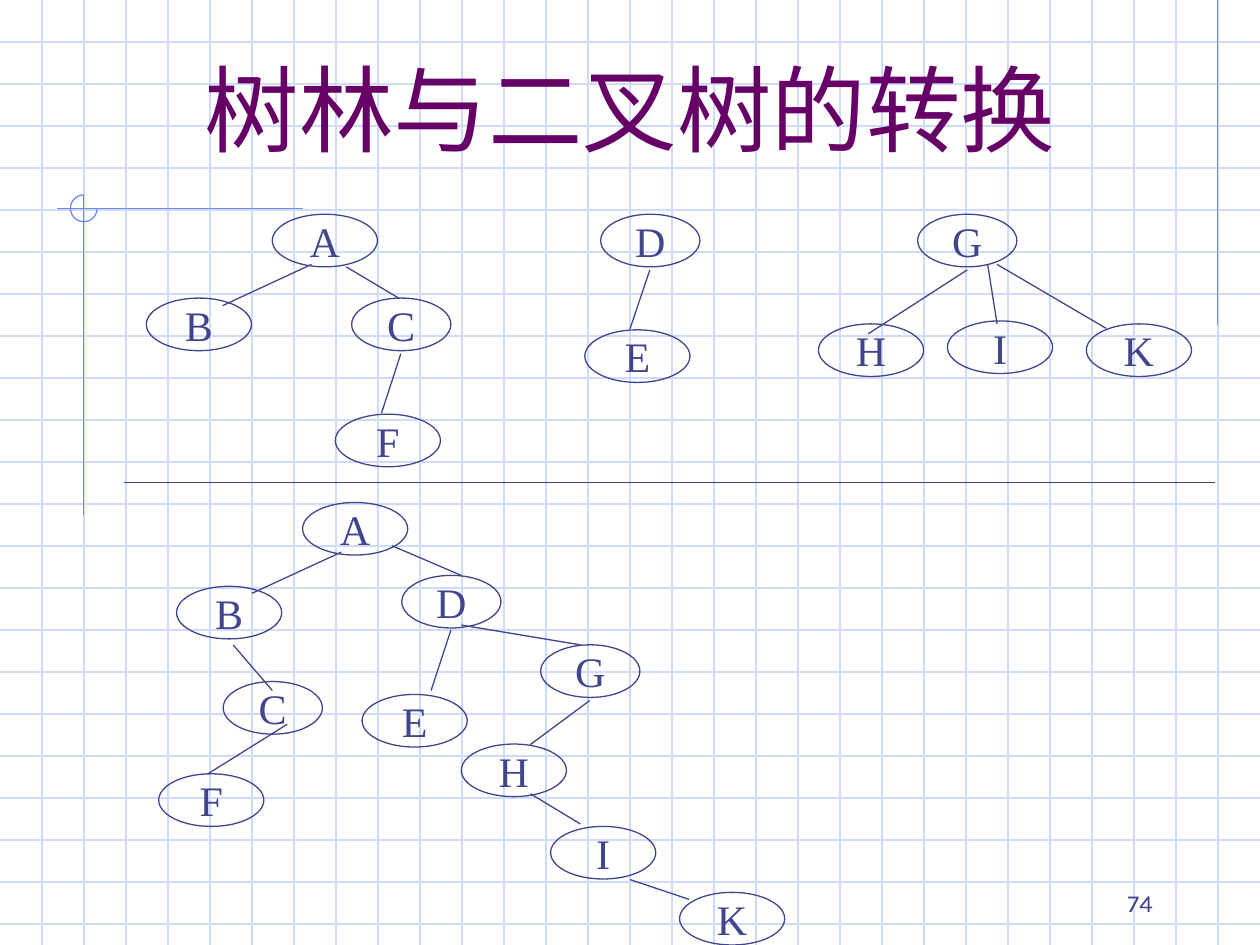
from lxml import etree
from pptx import Presentation
from pptx.dml.color import RGBColor
from pptx.enum.shapes import MSO_CONNECTOR, MSO_SHAPE
from pptx.enum.text import MSO_ANCHOR, PP_ALIGN
from pptx.oxml.ns import qn
from pptx.util import Cm, Pt

LINE = MSO_CONNECTOR.STRAIGHT
OVAL, ARC = MSO_SHAPE.OVAL, MSO_SHAPE.ARC
MIDDLE, BOTTOM = MSO_ANCHOR.MIDDLE, MSO_ANCHOR.BOTTOM
CENTER, RIGHT = PP_ALIGN.CENTER, PP_ALIGN.RIGHT
GRID, TRIM, INK, HEAD = "CFDBFD", "6F89F7", "40458C", "660066"
WIDTH, HEIGHT = 25.4, 19.05
STEP = WIDTH / 30
WIDE, SLIM, TALL = 2.12, 2.0, 1.06


def color(code):
    return RGBColor.from_string(code)


class Board:
    def __init__(self, deck):
        self.slide = deck.slides.add_slide(deck.slide_layouts[5])
        self.shapes = self.slide.shapes

    def line(self, x1, y1, x2, y2, code=INK):
        line = self.shapes.add_connector(LINE, Cm(x1), Cm(y1), Cm(x2), Cm(y2))
        line.line.color.rgb = color(code)
        line.line.width = Pt(0.75)
        props = line._element.find(qn("p:spPr"))
        etree.SubElement(props, qn("a:effectLst"))

    def shape(self, kind, x, y, w, h, code):
        shape = self.shapes.add_shape(kind, Cm(x), Cm(y), Cm(w), Cm(h))
        shape.shadow.inherit = False
        shape.fill.background()
        shape.line.color.rgb = color(code)
        shape.line.width = Pt(0.75)
        return shape

    def label(self, shape, text, font, size, code, align, anchor, wrap=True):
        frame = shape.text_frame
        frame.text = text
        frame.word_wrap = wrap
        frame.vertical_anchor = anchor
        para = frame.paragraphs[0]
        para.alignment = align
        run = para.runs[0]
        run.font.name = font
        run.font.size = Pt(size)
        run.font.color.rgb = color(code)
        east = etree.SubElement(run._r.get_or_add_rPr(), qn("a:ea"))
        east.set("typeface", font)

    def node(self, name, x, y):
        width = SLIM if name in "CDG" else WIDE
        oval = self.shape(OVAL, x, y, width, TALL, INK)
        self.label(oval, name, "Times New Roman", 24, INK, CENTER, MIDDLE, False)

    def arc(self, x, y, size):
        arc = self.shape(ARC, x, y, size, size, TRIM)
        arc.adjustments[0] = 0
        arc.adjustments[1] = 162

    def title(self, text, x, y, w, h):
        title = self.shapes.title
        title.left, title.top, title.width, title.height = Cm(x), Cm(y), Cm(w), Cm(h)
        title._element.getparent().append(title._element)
        self.label(title, text, "Noto Sans CJK SC", 54, HEAD, CENTER, BOTTOM)

    def number(self, text, x, y, w, h):
        box = self.shapes.add_textbox(Cm(x), Cm(y), Cm(w), Cm(h))
        self.label(box, text, "Karla", 14, INK, RIGHT, BOTTOM)

    def tree(self, nodes, edges):
        for node in nodes:
            self.node(*node)
        for edge in edges:
            self.line(*edge)


def main():
    deck = Presentation()
    deck.slide_width, deck.slide_height = Cm(WIDTH), Cm(HEIGHT)
    board = Board(deck)

    for row in range(1, 23):
        board.line(0, row * STEP, WIDTH, row * STEP, GRID)
    for col in range(1, 30):
        board.line(col * STEP, 0, col * STEP, HEIGHT, GRID)
    board.line(24.55, 0, 24.55, 6.55, TRIM)
    board.line(6.1, 4.2, 1.15, 4.2, TRIM)
    board.line(1.69, 3.93, 1.69, 10.39, TRIM)
    board.arc(1.42, 3.93, 0.54)
    board.title("树林与二叉树的转换", 1.9, 0.91, 21.6, 2.54)

    board.tree(
        [("A", 5.49, 4.32), ("B", 2.95, 6.01), ("C", 7.09, 6.01), ("F", 6.76, 8.35)],
        [(6.28, 5.33, 4.49, 6.16), (6.98, 5.38, 8.04, 6.01), (8.08, 7.13, 7.69, 8.33)],
    )
    board.tree(
        [("D", 12.11, 4.32), ("E", 11.79, 6.65)],
        [(13.1, 5.44, 12.7, 6.63)],
    )
    board.tree(
        [("G", 18.5, 4.32), ("H", 16.5, 6.53), ("I", 19.1, 6.47), ("K", 21.9, 6.53)],
        [(19.5, 5.44, 17.5, 6.73), (20.1, 5.33, 22.3, 6.62), (19.91, 5.33, 20.1, 6.53)],
    )
    board.line(2.5, 9.73, 24.5, 9.73)
    board.tree(
        [
            ("A", 6.1, 10.13), ("B", 3.56, 11.82), ("C", 4.5, 13.74),
            ("F", 3.2, 15.6), ("D", 8.1, 11.6), ("E", 7.3, 14),
            ("G", 10.9, 13), ("H", 9.3, 15), ("I", 11.1, 16.66), ("K", 13.7, 17.99),
        ],
        [
            (6.88, 11.13, 5.08, 11.96), (4.7, 13, 5.49, 13.92),
            (5.79, 14.6, 4.19, 15.6), (9.09, 12.7, 8.69, 13.92),
            (7.9, 11, 9.3, 11.6), (11.89, 14.12, 10.69, 15.01),
            (12.7, 17.73, 13.89, 18.13), (10.69, 16, 11.7, 16.61),
            (9.3, 12.6, 11.7, 13),
        ],
    )
    board.number("74", 18.21, 17.35, 5.28, 1.27)
    deck.save("out.pptx")


if __name__ == "__main__":
    main()
